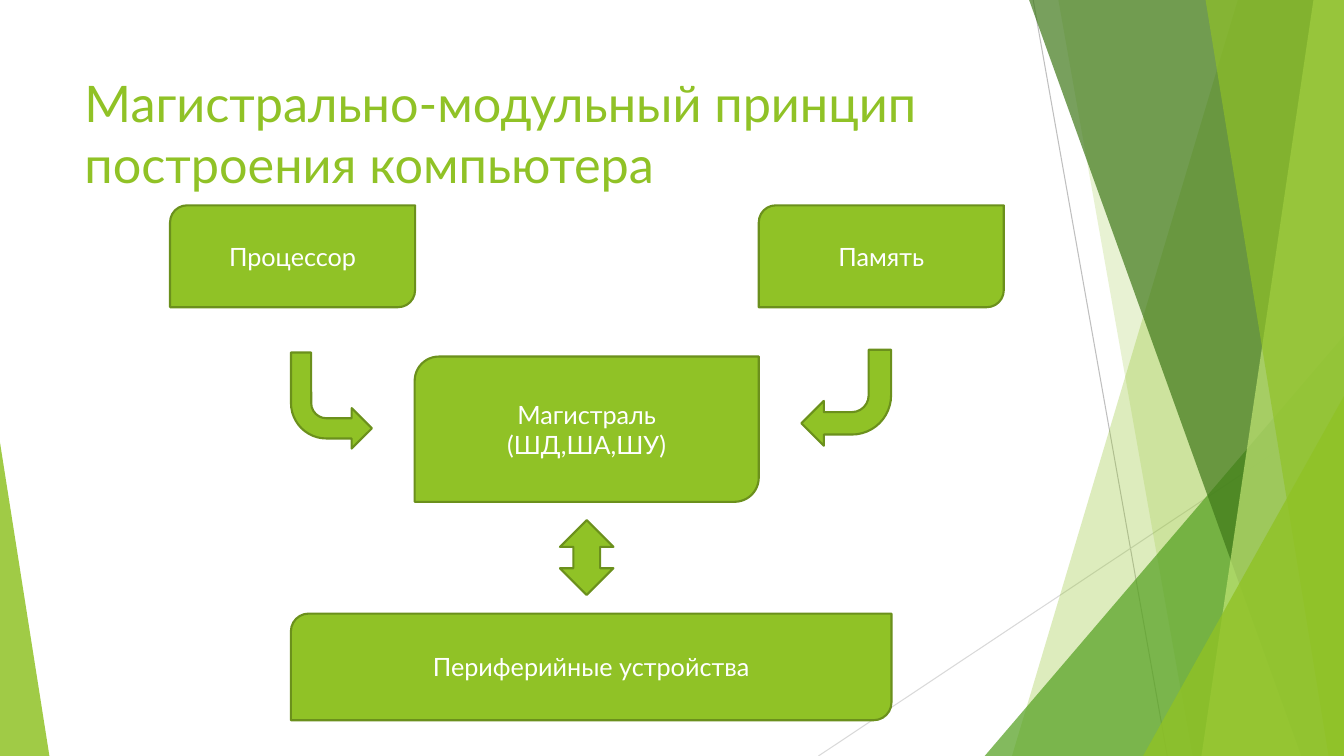
from lxml import etree
from pptx import Presentation
from pptx.dml.color import RGBColor
from pptx.enum.shapes import MSO_CONNECTOR, MSO_SHAPE
from pptx.enum.text import MSO_ANCHOR, PP_ALIGN
from pptx.oxml.ns import qn
from pptx.util import Pt

TRIANGLE = MSO_SHAPE.ISOSCELES_TRIANGLE
BOX = MSO_SHAPE.ROUND_2_DIAG_RECTANGLE
BENT_ARROW = MSO_SHAPE.BENT_ARROW
DOUBLE_ARROW = MSO_SHAPE.UP_DOWN_ARROW

WIDTH, HEIGHT = 960, 540
FONT = "Lato"
COLORS = {
    "lime": "90C226",
    "outline": "6B901C",
    "green": "54A021",
    "dark": "3F7819",
    "pale": "C0E474",
    "gray": "BFBFBF",
    "light gray": "D9D9D9",
    "white": "FFFFFF",
}

TITLE = "Магистрально-модульный принцип построения компьютера"
TITLE_BOUNDS = (53.3, 48.2, 676.8, 103.7)

# Start x, start y, end x, end y, color
THIN_LINES = [
    (738, 0, 833.8, HEIGHT, "gray"),
    (WIDTH, 290.2, 584.6, HEIGHT, "light gray"),
]
# Bands reach the right edge: top left x, bottom left x, color, opacity.
# Triangles stand on the bottom edge: left, top, width, apex, color, opacity.
DECOR = [
    ("band", 884.2, 722.9, "lime", 30),
    ("band", 756, 851.8, "lime", 20),
    ("triangle", 703.4, 239.8, 256.6, 1, "green", 72),
    ("band", 735.1, 929.5, "dark", 70),
    ("band", 938.2, 858.2, "pale", 70),
    ("band", 861.1, 949, "lime", 65),
    ("triangle", 816.5, 283, 143.5, 1, "lime", 80),
    ("triangle", 0, 316.1, 35.3, 0, "lime", 85),
]

# Text lines, left, top, width, height
BOXES = [
    (["Процессор"], 121.5, 146.7, 175, 72.8),
    (["Память"], 542, 146.7, 175, 72.8),
    (["Магистраль", "(ШД,ША,ШУ)"], 296.2, 254.7, 245.8, 103.8),
    (["Периферийные устройства"], 207.8, 438.3, 429, 76.2),
]
# Preset, bounds, rotation, mirrored
ARROWS = [
    (BENT_ARROW, (572.4, 249.8, 64.1, 68.6), 180, False),
    (BENT_ARROW, (207.8, 251.8, 57.8, 68.6), 180, True),
    (DOUBLE_ARROW, (400, 371.5, 38.2, 53.5), 0, False),
]


def color(name):
    return RGBColor.from_string(COLORS[name])


def points(values):
    return [Pt(value) for value in values]


def add_thin_line(shapes, *ends, color_name):
    line = shapes.add_connector(MSO_CONNECTOR.STRAIGHT, *points(ends))
    line.line.color.rgb = color(color_name)
    line.line.width = Pt(0.75)
    etree.SubElement(line.element.spPr, qn("a:effectLst"))


def add_band(shapes, top_left, bottom_left):
    builder = shapes.build_freeform(Pt(top_left), Pt(0), scale=1.0)
    corners = [(WIDTH, 0), (WIDTH, HEIGHT), (bottom_left, HEIGHT)]
    builder.add_line_segments([points(corner) for corner in corners], close=True)
    return builder.convert_to_shape()


def add_triangle(shapes, left, top, width, apex):
    bounds = points((left, top, width, HEIGHT - top))
    triangle = shapes.add_shape(TRIANGLE, *bounds)
    triangle.adjustments[0] = apex
    return triangle


def style_decor(shape, color_name, opacity):
    """Fill with a see-through color and drop the outline and shadow."""
    shape.shadow.inherit = False
    shape.line.fill.background()
    shape.fill.solid()
    shape.fill.fore_color.rgb = color(color_name)
    tint = shape.element.spPr.find(qn("a:solidFill"))[0]
    etree.SubElement(tint, qn("a:alpha"), val=str(opacity * 1000))


def add_diagram_shape(shapes, preset, bounds):
    shape = shapes.add_shape(preset, *points(bounds))
    shape.shadow.inherit = False
    shape.fill.solid()
    shape.fill.fore_color.rgb = color("lime")
    shape.line.color.rgb = color("outline")
    shape.line.width = Pt(1.5)
    return shape


def write(frame, lines, size, color_name, alignment, anchor):
    frame.word_wrap = True
    frame.vertical_anchor = anchor
    for index, line in enumerate(lines):
        paragraph = frame.add_paragraph() if index else frame.paragraphs[0]
        paragraph.text = line
        paragraph.alignment = alignment
        paragraph.font.name = FONT
        paragraph.font.size = Pt(size)
        paragraph.font.color.rgb = color(color_name)


def main():
    presentation = Presentation()
    presentation.slide_width, presentation.slide_height = points((WIDTH, HEIGHT))
    slide = presentation.slides.add_slide(presentation.slide_layouts[6])
    shapes = slide.shapes

    for *ends, color_name in THIN_LINES:
        add_thin_line(shapes, *ends, color_name=color_name)
    makers = {"band": add_band, "triangle": add_triangle}
    for kind, *geometry, color_name, opacity in DECOR:
        style_decor(makers[kind](shapes, *geometry), color_name, opacity)

    title = shapes.add_textbox(*points(TITLE_BOUNDS))
    write(title.text_frame, [TITLE], 36, "lime", PP_ALIGN.LEFT, MSO_ANCHOR.TOP)

    for lines, *bounds in BOXES:
        box = add_diagram_shape(shapes, BOX, bounds)
        write(box.text_frame, lines, 18, "white", PP_ALIGN.CENTER, MSO_ANCHOR.MIDDLE)
    for preset, bounds, rotation, mirrored in ARROWS:
        arrow = add_diagram_shape(shapes, preset, bounds)
        arrow.rotation = rotation
        if mirrored:
            arrow.element.spPr.find(qn("a:xfrm")).set("flipH", "1")

    presentation.save("out.pptx")


if __name__ == "__main__":
    main()
